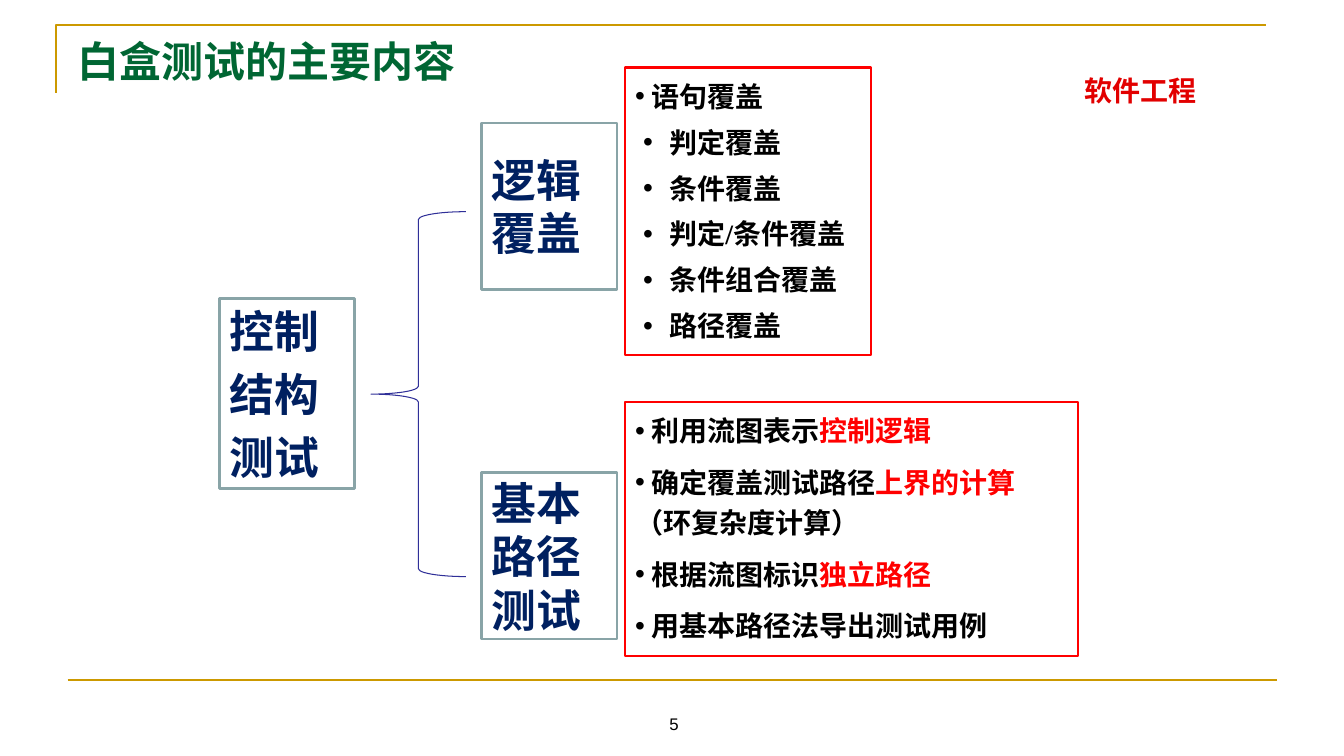
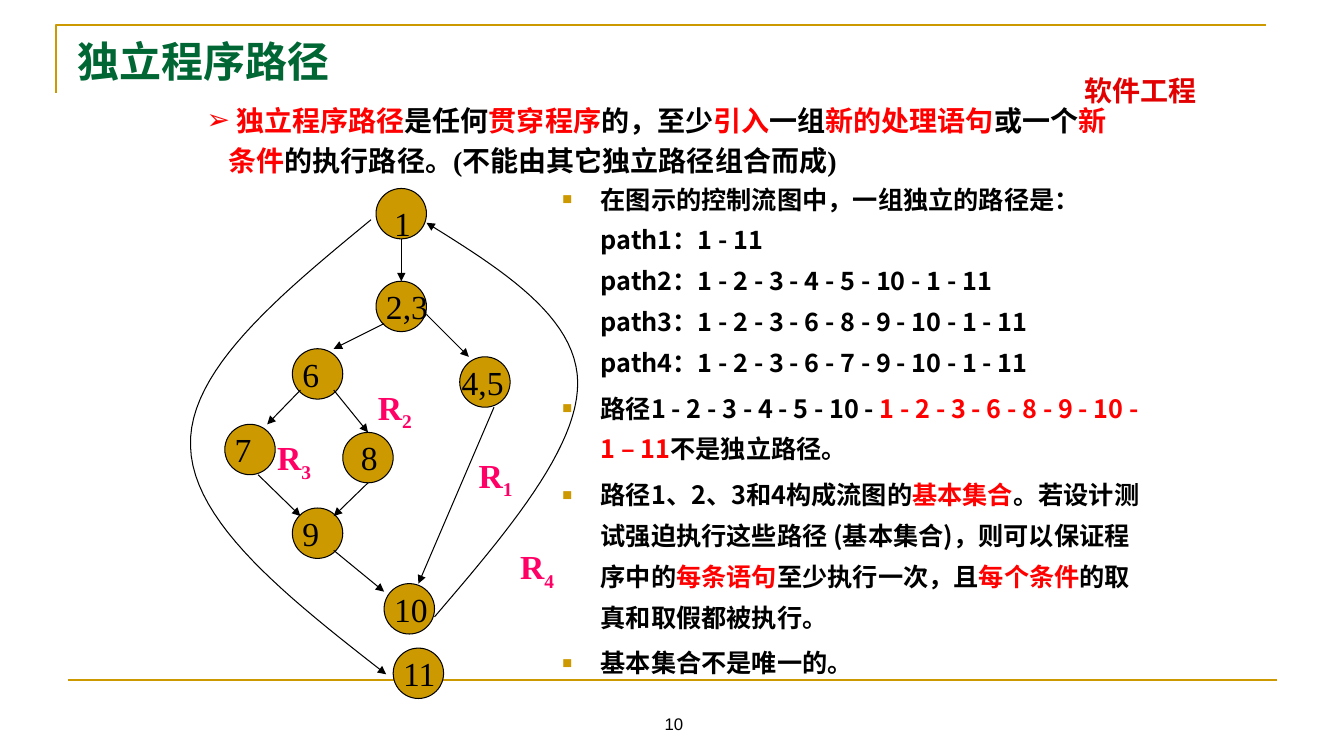
from pptx import Presentation
from pptx.dml.color import RGBColor
from pptx.enum.shapes import MSO_CONNECTOR, MSO_SHAPE
from pptx.enum.text import MSO_ANCHOR, PP_ALIGN
from pptx.oxml.ns import qn
from pptx.util import Inches, Pt
from lxml.etree import SubElement

COLORS = {"gold": "CC9900", "green": "006633", "course": "E20000", "black": "000000",
          "white": "FFFFFF", "red": "FF0000", "navy": "002060", "gray": "89A4A7",
          "brace": "2F2F98", "pink": "FF0066"}
SERIF, SANS, CJK, COURSE_FONT = "Times New Roman", "Arial", "Noto Sans CJK SC", "Noto Sans CJK JP"

# Content: a paragraph is a list of (text, color) runs
COURSE = "软件工程"
TOPICS = [  # text, top, height
    (["控制", "结构", "测试"], 2.18, 2.96, 1.89),
    (["基本路径测试"], 4.78, 4.69, 1.65),
    (["逻辑覆盖"], 4.78, 1.22, 1.65),
]
COVERAGES = ["语句覆盖", "判定覆盖", "条件覆盖", "判定/条件覆盖", "条件组合覆盖", "路径覆盖"]
PATH_STEPS = [
    [(" 利用流图表示", "black"), ("控制逻辑", "red")],
    [(" 确定覆盖测试路径", "black"), ("上界的计算", "red"), ("（环复杂度计算）", "black")],
    [(" 根据流图标识", "black"), ("独立路径", "red")],
    [(" 用基本路径法导出测试用例", "black")],
]
DEFINITION = [
    (" 独立程序路径", "red"), ("是任何", "black"), ("贯穿程序", "red"), ("的，至少", "black"),
    ("引入", "red"), ("一组", "black"), ("新的处理语句", "red"), ("或一个", "black"),
    ("新条件", "red"), ("的执行路径。(不能由其它独立路径组合而成)", "black"),
]
PATH_NOTES = [
    [("在图示的控制流图中，一组独立的路径是：\n"
      "path1：1 - 11\n"
      "path2：1 - 2 - 3 - 4 - 5 - 10 - 1 - 11\n"
      "path3：1 - 2 - 3 - 6 - 8 - 9 - 10 - 1 - 11\n"
      "path4：1 - 2 - 3 - 6 - 7 - 9 - 10 - 1 - 11", "black")],
    [("路径1 - 2 - 3 - 4 - 5 - 10 - ", "black"),
     ("1 - 2 - 3 - 6 - 8 - 9 - 10 - 1 – 11", "red"), ("不是独立路径。", "black")],
    [("路径1、2、3和4构成流图的", "black"), ("基本集合", "red"),
     ("。若设计测试强迫执行这些路径 (基本集合)，则可以保证程序中的", "black"),
     ("每条语句", "red"), ("至少执行一次，且", "black"), ("每个条件", "red"),
     ("的取真和取假都被执行。", "black")],
    [("基本集合不是唯一的。", "black")],
]

# Flow graph: node corner and label shift; edges join points inside the node squares
NODE_SIZE = 0.5
NODES = {
    "1": (3.73, 1.87, 0.08, 0.09), "2,3": (3.73, 2.79, 0, 0), "6": (2.9, 3.46, 0, 0),
    "7": (2.23, 4.21, 0, 0), "8": (3.4, 4.29, 0.08, 0), "9": (2.9, 5.04, 0, 0),
    "4,5": (4.56, 3.54, -0.08, 0), "10": (3.81, 5.79, 0, 0), "11": (3.9, 6.43, 0, 0),
}
EDGES = [
    ("1", (0.25, 0.5), "2,3", (0.25, 0)), ("2,3", (0.08, 0.42), "6", (0.41, 0)),
    ("6", (0.08, 0.41), "7", (0.42, 0)), ("6", (0.41, 0.41), "8", (0.25, 0)),
    ("7", (0.33, 0.5), "9", (0.08, 0.08)), ("8", (0.25, 0.5), "9", (0.41, 0.08)),
    ("2,3", (0.5, 0.33), "4,5", (0.09, 0)), ("4,5", (0.34, 0.5), "10", (0.34, 0)),
    ("9", (0.41, 0.42), "10", (0, 0.08)),
]
CURVES = [  # start, then two control points and an end for each piece
    [(3.68, 2.18), (2.77, 2.93), (1.86, 3.68), (1.89, 4.43), (1.91, 5.19), (2.87, 5.94), (3.83, 6.69)],
    [(4.31, 6.12), (5.03, 5.28), (5.74, 4.44), (5.73, 3.79), (5.72, 3.14), (4.97, 2.67), (4.23, 2.21)],
]
REGIONS = {"1": (4.65, 4.46), "4": (5.06, 5.37), "3": (2.65, 4.29), "2": (3.65, 3.79)}


def color(name):
    return RGBColor.from_string(COLORS[name])


def style_shape(shape, line=None, width=0.75, fill=None):
    shape.shadow.inherit = False
    if fill:
        shape.fill.solid()
        shape.fill.fore_color.rgb = color(fill)
    else:
        shape.fill.background()
    shape.line.color.rgb = color(line)
    shape.line.width = Pt(width)


def add_arrowhead(shape):
    line = shape.line._get_or_add_ln()
    SubElement(line, qn("a:tailEnd"), type="triangle")


def add_line(page, start, end, line, width=0.75):
    connector = page.shapes.add_connector(
        MSO_CONNECTOR.STRAIGHT, *(Inches(value) for value in (*start, *end)))
    connector.line.color.rgb = color(line)
    connector.line.width = Pt(width)
    SubElement(connector._element.spPr, qn("a:effectLst"))
    return connector


def add_open_path(page, points, line, width=0.75):
    corners = [(Inches(x), Inches(y)) for x, y in points]
    builder = page.shapes.build_freeform(*corners[0])
    builder.add_line_segments(corners[1:], close=False)
    outline = builder.convert_to_shape()
    style_shape(outline, line, width)
    return outline


def add_panel(page, preset, area, line, width=0.75, fill=None):
    panel = page.shapes.add_shape(preset, *(Inches(value) for value in area))
    style_shape(panel, line, width, fill)
    return panel


def add_textbox(page, area):
    return page.shapes.add_textbox(*(Inches(value) for value in area))


def add_run(para, text, size, ink, font=SERIF, bold=True):
    span = para.add_run()
    span.text = text
    span.font.size = Pt(size)
    span.font.bold = bold
    span.font.name = font
    span.font.color.rgb = color(ink)
    east_asian = COURSE_FONT if font == COURSE_FONT else CJK
    SubElement(span._r.get_or_add_rPr(), qn("a:ea"), typeface=east_asian)
    return span


def set_bullet(para, mark, margin=0, indent=0, ink=None, percent=None):
    properties = para._p.get_or_add_pPr()
    properties.set("marL", str(Inches(margin)))
    properties.set("indent", str(Inches(indent)))
    if ink:
        SubElement(SubElement(properties, qn("a:buClr")), qn("a:srgbClr"), val=COLORS[ink])
    if percent:
        SubElement(properties, qn("a:buSzPct"), val=str(percent * 1000))
    SubElement(properties, qn("a:buFont"), typeface=SANS)
    SubElement(properties, qn("a:buChar"), char=mark)


def write(box, paragraphs, size, font=SERIF, bold=True, before=0, spacing=None,
          align=PP_ALIGN.LEFT, anchor=MSO_ANCHOR.TOP, wrap=True, bullets=None):
    """Fill a box; before is a share of the text size, bullets one dict per paragraph."""
    frame = box.text_frame
    frame.word_wrap = wrap
    frame.vertical_anchor = anchor
    for index, runs in enumerate(paragraphs):
        para = frame.paragraphs[0] if index == 0 else frame.add_paragraph()
        para.alignment = align
        para.space_before = Pt(size * before)
        if spacing:
            para.line_spacing = spacing
        if bullets:
            set_bullet(para, **bullets[index])
        for text, ink in runs:
            for number, line in enumerate(text.split("\n")):
                if number:
                    para.add_line_break()
                add_run(para, line, size, ink, font, bold)


def add_page(deck, title, number):
    page = deck.slides.add_slide(deck.slide_layouts[6])
    add_open_path(page, [(0.56, 0.92), (0.56, 0.25), (12.56, 0.25)], "gold", 1.5)
    add_line(page, (0.67, 6.75), (12.67, 6.75), "gold", 1.5)
    write(add_textbox(page, (9.19, 0.68, 4.25, 0.43)), [[(COURSE, "course")]], 20,
          font=COURSE_FONT, align=PP_ALIGN.CENTER)
    write(add_textbox(page, (5.13, 6.83, 3.11, 0.5)), [[(str(number), "black")]], 12,
          font=SANS, bold=False, align=PP_ALIGN.CENTER, anchor=MSO_ANCHOR.BOTTOM)
    write(add_textbox(page, (0.67, 0.3, 12, 0.61)), [[(title, "green")]], 30,
          anchor=MSO_ANCHOR.MIDDLE)
    return page


def curve_points(controls, steps=24):
    points = [controls[0]]
    for first in range(0, len(controls) - 1, 3):
        piece = controls[first:first + 4]
        for step in range(1, steps + 1):
            t = step / steps
            weights = ((1 - t) ** 3, 3 * t * (1 - t) ** 2, 3 * t * t * (1 - t), t ** 3)
            points.append(tuple(sum(weight * point[axis] for weight, point in zip(weights, piece))
                                for axis in (0, 1)))
    return points


def build_contents(deck):
    page = add_page(deck, "白盒测试的主要内容", 5)

    # Topic tree
    for lines, left, top, height in TOPICS:
        topic = add_panel(page, MSO_SHAPE.RECTANGLE, (left, top, 1.34, height), "gray", 2, "white")
        write(topic, [[(line, "navy")] for line in lines], 32, before=0.2,
              anchor=MSO_ANCHOR.MIDDLE)
    brace = add_panel(page, MSO_SHAPE.LEFT_BRACE, (3.68, 2.1, 0.94, 3.62), "brace")
    brace.adjustments[0] = 0.083

    # Detail lists
    steps = add_panel(page, MSO_SHAPE.RECTANGLE, (6.2, 3.99, 4.49, 2.52), "red", 1.5)
    write(steps, PATH_STEPS, 20, before=0.4, spacing=1.2,
          bullets=[{"mark": "•"}] * len(PATH_STEPS))
    coverages = add_panel(page, MSO_SHAPE.RECTANGLE, (6.2, 0.67, 2.44, 2.85), "red", 1.5)
    nested = {"mark": "•", "margin": 0.34, "indent": -0.26}
    write(coverages, [[(name, "black")] for name in COVERAGES], 20, before=0.2, spacing=1.2,
          wrap=False, bullets=[{"mark": "•", "margin": 0.16, "indent": -0.16}]
          + [nested] * (len(COVERAGES) - 1))


def build_paths(deck):
    page = add_page(deck, "独立程序路径", 10)
    write(add_textbox(page, (1.67, 0.91, 9.41, 0.9)), [DEFINITION], 20, spacing=1.2,
          bullets=[{"mark": "➢", "margin": 0.5, "indent": -0.22, "ink": "red"}])

    # Flow graph
    for left, top, _, _ in NODES.values():
        add_panel(page, MSO_SHAPE.OVAL, (left, top, NODE_SIZE, NODE_SIZE), "black", fill="gold")
    for source, leave, target, enter in EDGES:
        start, end = ([NODES[node][axis] + shift[axis] for axis in (0, 1)]
                      for node, shift in ((source, leave), (target, enter)))
        add_arrowhead(add_line(page, start, end, "black"))
    for controls in CURVES:
        add_arrowhead(add_open_path(page, curve_points(controls), "black"))
    for label, (left, top, shift_x, shift_y) in NODES.items():
        write(add_textbox(page, (left + shift_x, top + shift_y, 0.83, 0.5)),
              [[(label, "black")]], 24, bold=False, wrap=False)
    for number, place in REGIONS.items():
        region = add_textbox(page, (*place, 0.83, 0.5))
        write(region, [[("R", "pink")]], 24)
        index = add_run(region.text_frame.paragraphs[0], number, 24, "pink")
        index.font._element.set("baseline", "-25000")

    # Path notes
    square = {"mark": "■", "margin": 0.38, "indent": -0.38, "ink": "gold", "percent": 65}
    write(add_textbox(page, (5.48, 1.67, 5.99, 5.47)), PATH_NOTES, 18, font=CJK, before=0.2,
          spacing=1.35, bullets=[square] * len(PATH_NOTES))


def main():
    deck = Presentation()
    deck.slide_width, deck.slide_height = Inches(13.33), Inches(7.5)
    build_contents(deck)
    build_paths(deck)
    deck.save("out.pptx")


if __name__ == "__main__":
    main()
